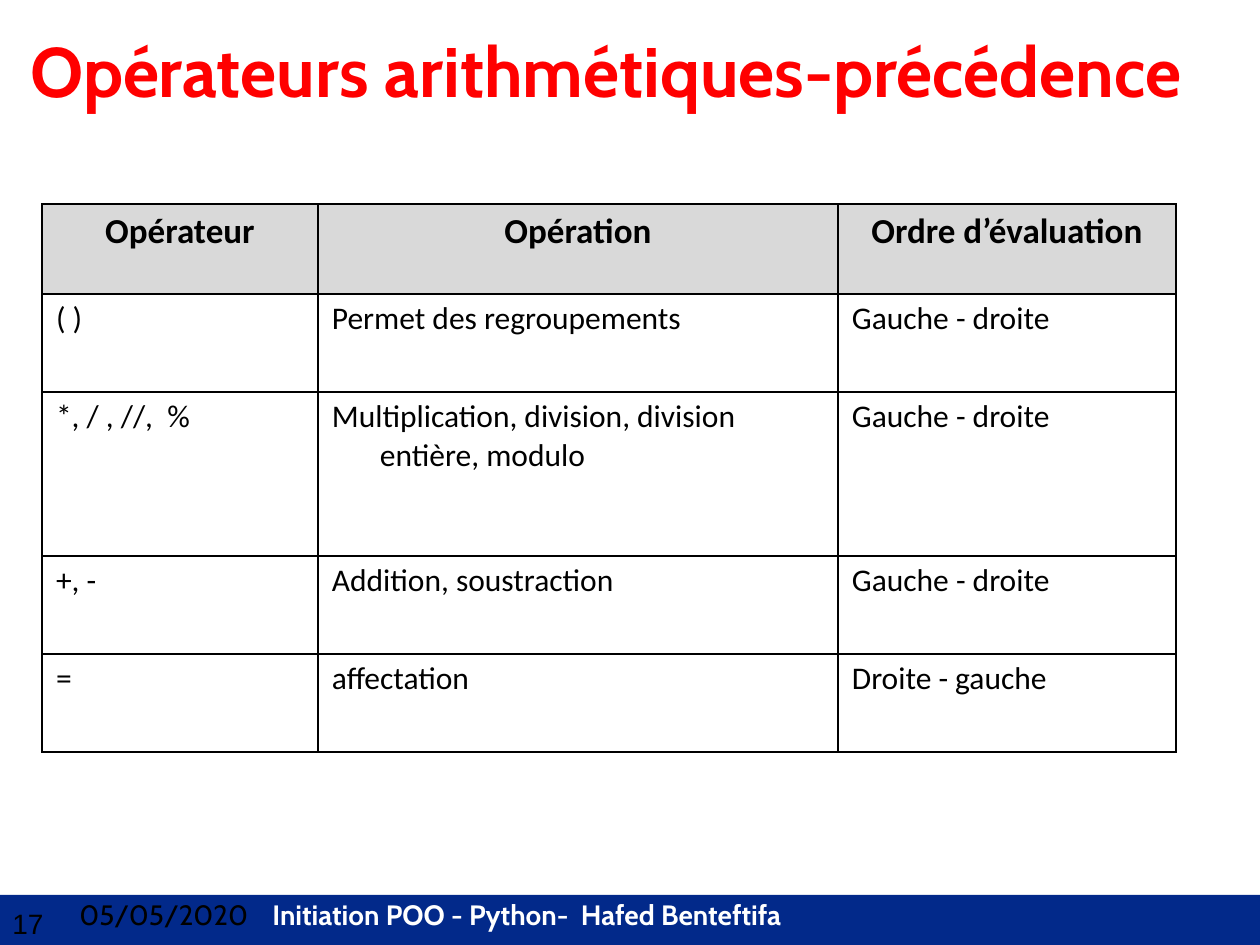
from dataclasses import dataclass

from lxml import etree
from pptx import Presentation
from pptx.dml.color import RGBColor
from pptx.enum.shapes import MSO_SHAPE
from pptx.enum.text import MSO_ANCHOR, PP_ALIGN
from pptx.oxml.ns import qn
from pptx.util import Emu, Pt

EMU_PER_PX = 914400 / 126


@dataclass(frozen=True)
class Theme:
    black: str = "000000"
    white: str = "FFFFFF"
    red: str = "FF0000"
    band: str = "02298A"
    header: str = "D9D9D9"
    heading_font: str = "Cabin"
    table_font: str = "Calibri"
    number_font: str = "Arial"
    title_size: int = 40
    header_size: int = 20
    body_size: int = 18
    footer_size: int = 16


THEME = Theme()
COLUMN_WIDTHS = (276, 520, 338)
ROW_HEIGHTS = (90, 98, 164, 98, 98)
ROWS = (
    ("Opérateur", "Opération", "Ordre d’évaluation"),
    ("( )", "Permet des regroupements", "Gauche - droite"),
    ("*, / , //,  %", "Multiplication, division, division entière, modulo", "Gauche - droite"),
    ("+, -", "Addition, soustraction", "Gauche - droite"),
    ("=", "affectation", "Droite - gauche"),
)


def px(length):
    return Emu(round(length * EMU_PER_PX))


def add_span(para, text, font, size, color, bold=False):
    span = para.add_run()
    span.text = text
    span.font.name = font
    span.font.size = Pt(size)
    span.font.bold = bold
    span.font.color.rgb = RGBColor.from_string(color)


def add_text_box(page, left, top, width, height):
    """Add a wrapping text box and return its first paragraph."""
    frame = page.shapes.add_textbox(px(left), px(top), px(width), px(height)).text_frame
    frame.word_wrap = True
    frame.vertical_anchor = MSO_ANCHOR.TOP
    return frame.paragraphs[0]


def add_tab_stop(para, position):
    tabs = etree.SubElement(para._p.get_or_add_pPr(), qn("a:tabLst"))
    etree.SubElement(tabs, qn("a:tab"), pos=str(px(position)), algn="l")


def add_footer(page):
    band = page.shapes.add_shape(MSO_SHAPE.RECTANGLE, 0, px(895), px(1260), px(50))
    band.shadow.inherit = False
    band.fill.solid()
    band.fill.fore_color.rgb = RGBColor.from_string(THEME.band)
    band.line.fill.background()

    number = add_text_box(page, 0, 900, 73, 79)
    add_span(number, "17", THEME.number_font, THEME.footer_size, THEME.black)

    caption = add_text_box(page, 67, 891, 1193, 81)
    add_tab_stop(caption, 193)
    add_span(caption, "05/05/2020\t", THEME.heading_font, THEME.footer_size, THEME.black)
    add_span(caption, "Initiation POO - Python-  Hafed Benteftifa",
             THEME.heading_font, THEME.footer_size, THEME.white, bold=True)


def add_title(page):
    para = add_text_box(page, 18, 21, 1242, 117)
    add_span(para, "Opérateurs arithmétiques-précédence",
             THEME.heading_font, THEME.title_size, THEME.red, bold=True)


def set_borders(cell):
    properties = cell._tc.get_or_add_tcPr()
    for index, side in enumerate(("a:lnL", "a:lnR", "a:lnT", "a:lnB")):
        line = etree.Element(qn(side), w=str(Pt(1)))
        fill = etree.SubElement(line, qn("a:solidFill"))
        etree.SubElement(fill, qn("a:srgbClr"), val=THEME.black)
        properties.insert(index, line)


def fill_cell(cell, text, is_header):
    cell.margin_left = cell.margin_right = px(14)
    cell.margin_top = cell.margin_bottom = px(6)
    if is_header:
        cell.fill.solid()
        cell.fill.fore_color.rgb = RGBColor.from_string(THEME.header)
    else:
        cell.fill.background()
    set_borders(cell)

    para = cell.text_frame.paragraphs[0]
    para.alignment = PP_ALIGN.CENTER if is_header else PP_ALIGN.LEFT
    indents = para._p.get_or_add_pPr()
    indents.set("marL", str(px(48)))
    indents.set("indent", str(px(-48)))
    size = THEME.header_size if is_header else THEME.body_size
    add_span(para, text, THEME.table_font, size, THEME.black, bold=is_header)


def add_precedence_table(page):
    table = page.shapes.add_table(
        len(ROWS), len(COLUMN_WIDTHS), px(42), px(204),
        px(sum(COLUMN_WIDTHS)), px(sum(ROW_HEIGHTS))).table
    table.horz_banding = False
    for column, width in zip(table.columns, COLUMN_WIDTHS):
        column.width = px(width)
    for row_index, (row, height, texts) in enumerate(zip(table.rows, ROW_HEIGHTS, ROWS)):
        row.height = px(height)
        for cell, text in zip(row.cells, texts):
            fill_cell(cell, text, row_index == 0)


def main():
    deck = Presentation()
    deck.slide_width, deck.slide_height = px(1260), px(945)
    page = deck.slides.add_slide(deck.slide_layouts[6])
    add_footer(page)
    add_title(page)
    add_precedence_table(page)
    deck.save("out.pptx")


if __name__ == "__main__":
    main()
